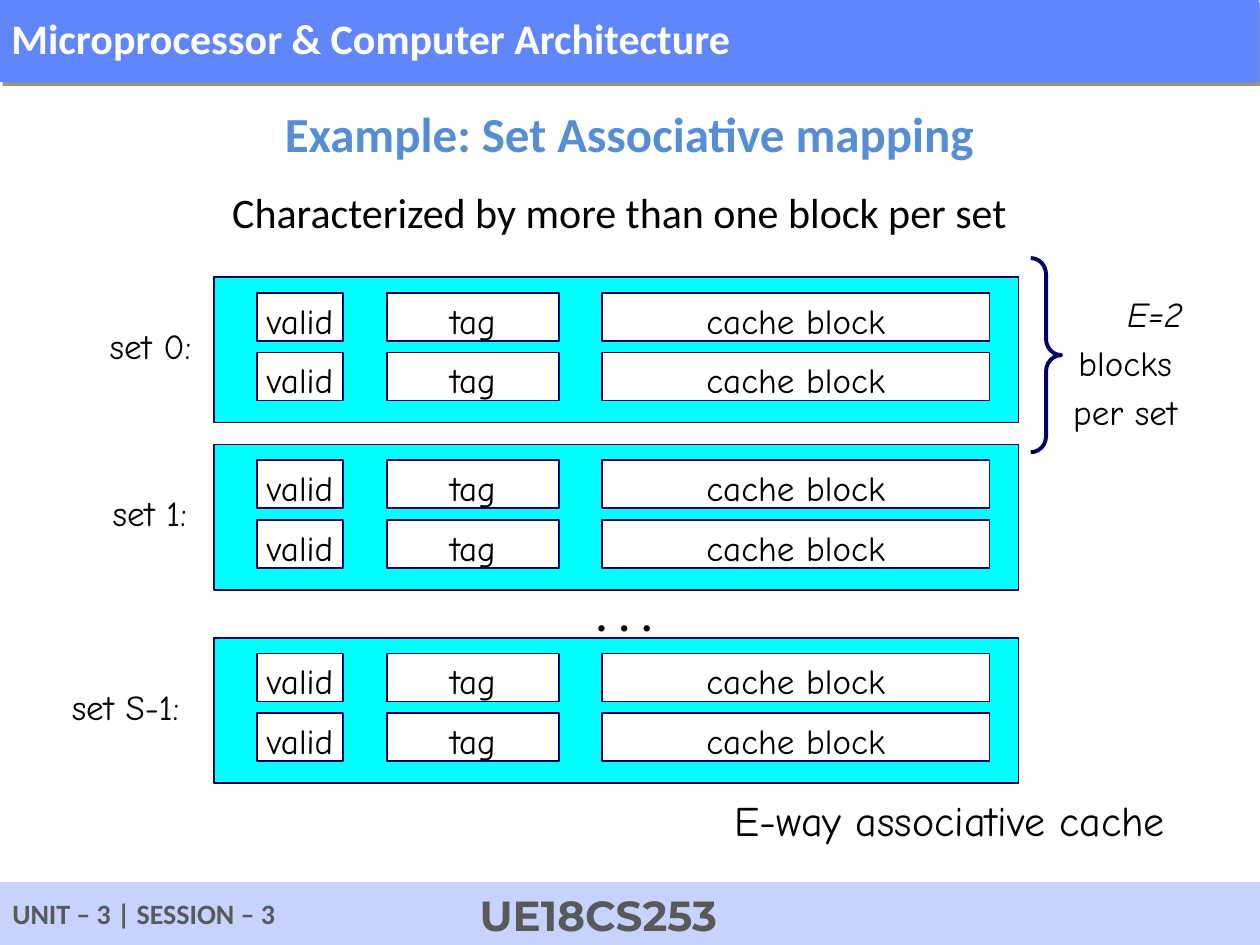
from dataclasses import dataclass
from lxml import etree
from pptx import Presentation
from pptx.dml.color import RGBColor as RGB
from pptx.enum.shapes import MSO_SHAPE as Shape
from pptx.enum.text import MSO_ANCHOR as Anchor, MSO_AUTO_SIZE as Fit, PP_ALIGN as Align
from pptx.oxml import parse_xml
from pptx.oxml.ns import nsdecls, qn
from pptx.util import Pt


@dataclass(frozen=True)
class Theme:
    bar: str = "6086FB"
    foot: str = "C5D3FE"
    head: str = "558ED5"
    gray: str = "595959"
    navy: str = "000066"
    cyan: str = "00FFFF"
    white: str = "FFFFFF"
    black: str = "000000"
    sans: str = "Calibri"
    hand: str = "Comic Neue"
    code: str = "Montserrat"
    small: int = 16
    base: int = 20
    large: int = 24
    title: int = 28


theme = Theme()


def write(shape, *lines, font=theme.hand, size=theme.base, color=theme.black,
          bold=False, align=Align.CENTER, anchor=Anchor.MIDDLE, gap=1.16, wrap=False):
    """Set the text of a shape, one paragraph per line, and return the paragraphs."""
    frame = shape.text_frame
    frame.text = "\n".join(lines)
    frame.auto_size = Fit.NONE
    frame.word_wrap = wrap
    frame.vertical_anchor = anchor
    for para in frame.paragraphs:
        para.alignment = align
        para.line_spacing = gap
        para.space_before = Pt(0)
        para.font.name = font
        para.font.size = Pt(size)
        para.font.bold = bold
        para.font.color.rgb = RGB.from_string(color)
    return frame.paragraphs


def draw(x, y, w, h, fill=None, line=None, kind=Shape.RECTANGLE, width=1):
    shape = slide.shapes.add_shape(kind, Pt(x), Pt(y), Pt(w), Pt(h))
    shape.shadow.inherit = False
    if fill:
        shape.fill.solid()
        shape.fill.fore_color.rgb = RGB.from_string(fill)
    else:
        shape.fill.background()
    if line:
        shape.line.color.rgb = RGB.from_string(line)
        shape.line.width = Pt(width)
    else:
        shape.line.fill.background()
    return shape


deck = Presentation()
deck.slide_width, deck.slide_height = Pt(720), Pt(540)
slide = deck.slides.add_slide(deck.slide_layouts[1])

# Course bar and footer
bar = draw(-0.5, -0.5, 720, 47.5, theme.bar)
glow = bar._element.spPr.find(qn("a:effectLst"))
glow.append(parse_xml(
    f'<a:outerShdw {nsdecls("a")} dist="{Pt(3)}" dir="2700000">'
    f'<a:srgbClr val="{theme.black}"><a:alpha val="41000"/></a:srgbClr></a:outerShdw>'))
write(bar, "Microprocessor & Computer Architecture", font=theme.sans, size=theme.large,
      color=theme.white, bold=True, align=Align.LEFT, gap=0.93, wrap=True)

draw(0, 504, 720, 36, theme.foot)
for text, box, font, size in (
    ("UNIT – 3 | SESSION – 3", (0, 510.5, 235.5, 26), theme.sans, theme.small),
    ("UE18CS253", (267, 507.5, 135.5, 29), theme.code, theme.large),
):
    write(draw(*box, theme.foot), text, font=font, size=size, color=theme.gray,
          bold=True, align=Align.LEFT, anchor=Anchor.TOP, gap=0.93)

# Title and lead sentence
title, body = slide.placeholders
title.left, title.top, title.width, title.height = Pt(-0.5), Pt(45.5), Pt(720), Pt(61)
write(title, "Example: Set Associative mapping", font=theme.sans, size=theme.title,
      color=theme.head, bold=True, gap=1.0, wrap=True)

body.left, body.top, body.width, body.height = Pt(125.5), Pt(103), Pt(571), Pt(44)
lead = write(body, "Characterized by more than one block per set", font=theme.sans,
             size=theme.large, align=Align.LEFT, anchor=Anchor.TOP, gap=1.0, wrap=True)[0]
props = lead._p.get_or_add_pPr()
props.set("marL", "0")
props.set("indent", "0")
none = etree.Element(qn("a:buNone"))
props.find(qn("a:spcBef")).addnext(none)

# Cache sets, each with two rows of fields
fields = (("valid", 147, 49), ("tag", 221, 98.5), ("cache block", 344, 221.5))
for name, top, left, wide in (
    ("set 0:", 158.5, 55.5, 61),
    ("set 1:", 254, 57, 57),
    ("set S-1:", 364.5, 34, 75.5),
):
    draw(122.5, top, 459.5, 83, theme.cyan, theme.navy)
    write(draw(left, top + 19.5, wide, 35), name)
    for row in range(2):
        for text, x, w in fields:
            write(draw(x, top + 9 + 34 * row, w, 27.5, theme.white, theme.navy), text)

write(draw(320, 337, 73.5, 27.5), "• • •", anchor=Anchor.TOP)

# Brace and notes
brace = draw(589, 147.5, 17.5, 111, line=theme.navy, kind=Shape.RIGHT_BRACE, width=2.25)
brace.adjustments[0] = 0.53
ways, blocks, _ = write(draw(606, 160, 108, 90.5), "E=2", "blocks", "per set", wrap=True)
ways.font.italic = True
blocks._p.get_or_add_pPr().set("marR", str(Pt(34)))
write(draw(412, 457, 261.5, 29), "E-way associative cache", size=theme.large,
      anchor=Anchor.TOP, gap=0.75)

deck.save("out.pptx")
